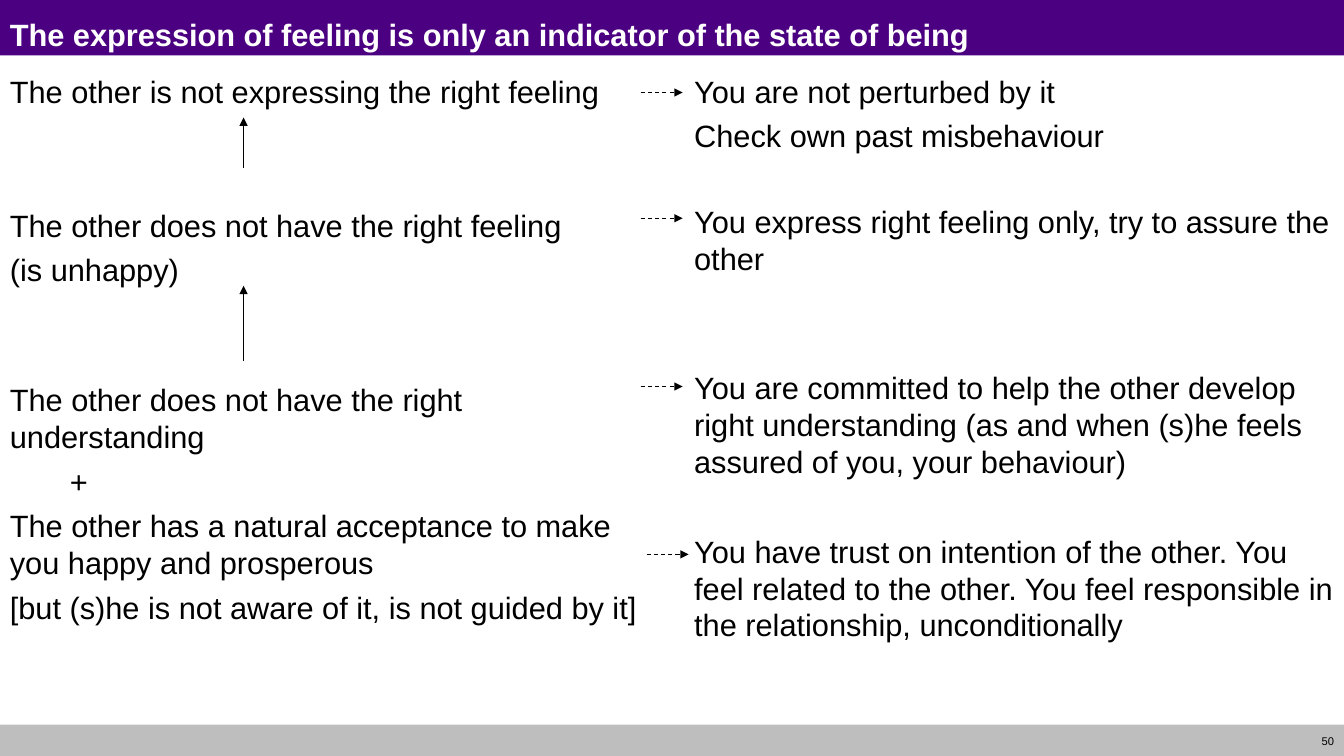
"""Build the slide on feelings as an indicator of the state of being."""
import dataclasses

import pptx
import pptx.dml.color
import pptx.enum.dml
import pptx.enum.shapes
import pptx.enum.text
import pptx.oxml
import pptx.oxml.ns
import pptx.util

Cm = pptx.util.Cm
Pt = pptx.util.Pt
Align = pptx.enum.text.PP_ALIGN
Anchor = pptx.enum.text.MSO_ANCHOR


@dataclasses.dataclass(frozen=True)
class Theme:
    font: str = "Arial"
    ink: str = "000000"
    title_ink: str = "FFFFFF"
    title_band: str = "4B0082"
    footer_band: str = "BEBEBE"
    text_size: float = 22
    number_size: float = 8
    leading: float = 1.2
    paragraph_gap: float = 5.5
    arrow_width: float = 0.75


class SlideBuilder:
    def __init__(self, slide, theme):
        self.slide = slide
        self.theme = theme

    def band(self, top, width, height, color):
        shape = self.slide.shapes.add_shape(
            pptx.enum.shapes.MSO_SHAPE.RECTANGLE, 0, Cm(top), Cm(width), Cm(height))
        shape.shadow.inherit = False
        shape.fill.solid()
        shape.fill.fore_color.rgb = pptx.dml.color.RGBColor.from_string(color)
        shape.line.fill.background()

    def text(self, box, rows, size, color, bold=False, align=Align.LEFT, anchor=Anchor.TOP):
        shape = self.slide.shapes.add_textbox(*map(Cm, box))
        frame = shape.text_frame
        frame.word_wrap = True
        frame.vertical_anchor = anchor
        for index, (words, space, indent) in enumerate(rows):
            paragraph = frame.add_paragraph() if index else frame.paragraphs[0]
            paragraph.text = words
            paragraph.alignment = align
            paragraph.line_spacing = Pt(size * self.theme.leading)
            paragraph.space_before = Pt(space if index else 0)
            if indent:
                paragraph._p.get_or_add_pPr().set("marL", str(Cm(indent)))
            paragraph.font.name = self.theme.font
            paragraph.font.size = Pt(size)
            paragraph.font.bold = bold
            paragraph.font.color.rgb = pptx.dml.color.RGBColor.from_string(color)

    def arrow(self, start, end, dashed=False):
        connector = self.slide.shapes.add_connector(
            pptx.enum.shapes.MSO_CONNECTOR.STRAIGHT, *map(Cm, start + end))
        line = connector.line
        line.width = Pt(self.theme.arrow_width)
        line.color.rgb = pptx.dml.color.RGBColor.from_string(self.theme.ink)
        if dashed:
            line.dash_style = pptx.enum.dml.MSO_LINE.DASH
        namespace = pptx.oxml.ns.nsdecls("a")
        line._get_or_add_ln().append(
            pptx.oxml.parse_xml(f'<a:tailEnd {namespace} type="triangle"/>'))
        connector._element.spPr.append(pptx.oxml.parse_xml(f"<a:effectLst {namespace}/>"))


def main():
    theme = Theme()
    presentation = pptx.Presentation()
    width, height = 33.88, 19.05
    presentation.slide_width = Cm(width)
    presentation.slide_height = Cm(height)
    builder = SlideBuilder(presentation.slides.add_slide(presentation.slide_layouts[6]), theme)

    footer_top = 18.26
    builder.band(0, width, 1.4, theme.title_band)
    builder.band(footer_top, width, height - footer_top, theme.footer_band)
    builder.text((32.28, footer_top, 1.6, 0.8), [("50", 0, 0)], theme.number_size, theme.ink,
                 align=Align.RIGHT, anchor=Anchor.MIDDLE)
    builder.text((0, 0.28, width, 1.07),
                 [("The expression of feeling is only an indicator of the state of being", 0, 0)],
                 theme.text_size, theme.title_ink, bold=True)

    gap = theme.paragraph_gap
    other_states = [
        ("The other is not expressing the right feeling", gap, 0),
        ("The other does not have the right feeling", 69.3, 0),
        ("(is unhappy)", gap, 0),
        ("The other does not have the right understanding", 66.4, 0),
        ("+", gap, 1.51),
        ("The other has a natural acceptance to make you happy and prosperous", gap, 0),
        ("[but (s)he is not aware of it, is not guided by it]", gap, 0),
    ]
    own_responses = [
        ("You are not perturbed by it", gap, 0),
        ("Check own past misbehaviour", gap, 0),
        ("You express right feeling only, try to assure the other", 34.5, 0),
        ("You are committed to help the other develop right understanding "
         "(as and when (s)he feels assured of you, your behaviour)", 66.4, 0),
        ("You have trust on intention of the other. You feel related to the other. "
         "You feel responsible in the relationship, unconditionally", 37.4, 0),
    ]
    for left, column_width, rows in ((0, 16.69, other_states), (17.25, 16.61, own_responses)):
        builder.text((left, 1.7, column_width, 16.51), rows, theme.text_size, theme.ink)

    for left, level in ((16.15, 2.33), (16.15, 5.5), (16.15, 9.74), (16.3, 13.97)):
        builder.arrow((left, level), (left + 1.06, level), dashed=True)
    for bottom, top in ((9.1, 7.2), (4.23, 2.96)):
        builder.arrow((6.14, bottom), (6.14, top))

    presentation.save("out.pptx")


if __name__ == "__main__":
    main()
